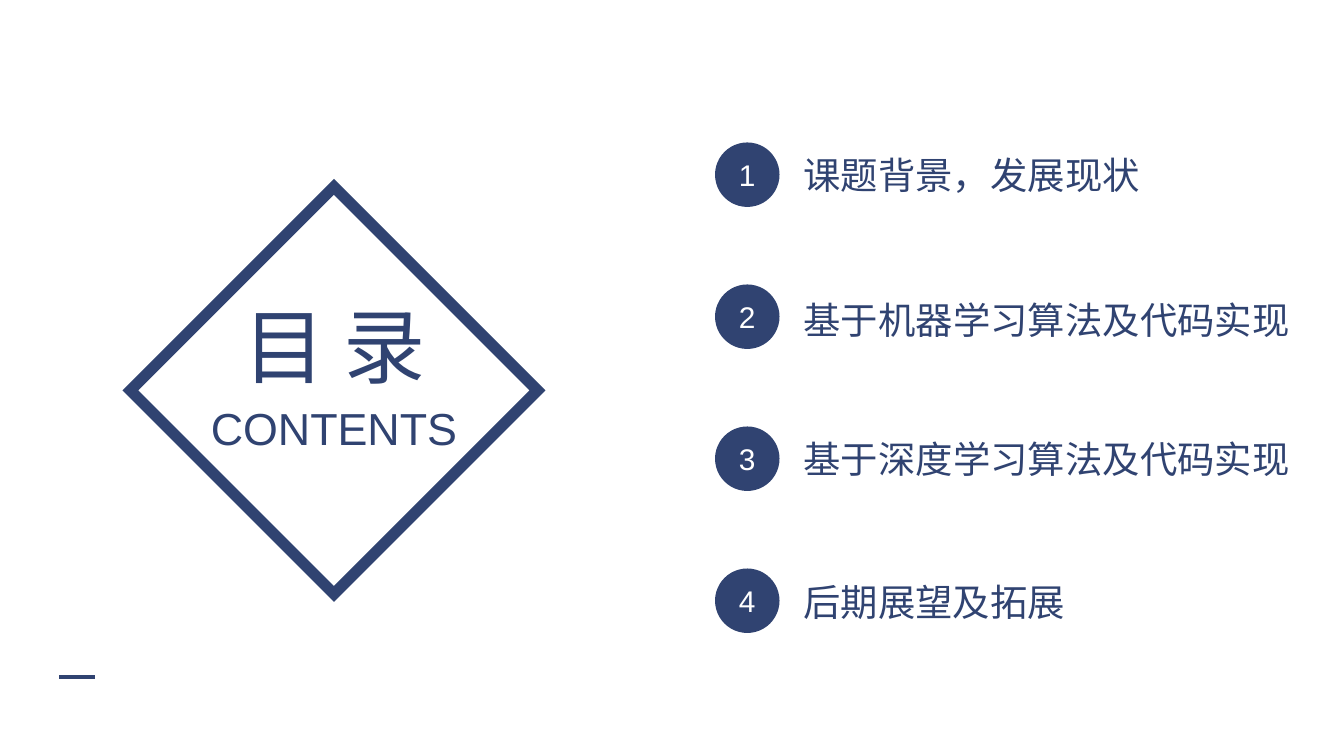
from dataclasses import dataclass

from lxml import etree
from pptx import Presentation
from pptx.dml.color import RGBColor
from pptx.enum.shapes import MSO_CONNECTOR, MSO_SHAPE
from pptx.enum.text import MSO_ANCHOR, MSO_AUTO_SIZE, PP_ALIGN
from pptx.oxml.ns import qn
from pptx.shapes.autoshape import Shape
from pptx.slide import Slide
from pptx.text.text import TextFrame
from pptx.util import Inches, Pt

STRAIGHT = MSO_CONNECTOR.STRAIGHT
DIAMOND, OVAL = MSO_SHAPE.DIAMOND, MSO_SHAPE.OVAL
LEFT, CENTER = PP_ALIGN.LEFT, PP_ALIGN.CENTER
MIDDLE = MSO_ANCHOR.MIDDLE
FIT_TEXT = MSO_AUTO_SIZE.SHAPE_TO_FIT_TEXT

COLORS = {"navy": "304371", "white": "FFFFFF"}
LATIN_FONT = "Arial"
CHINESE_FONT = "Noto Sans CJK SC"

BADGE_LEFT, BADGE_SIZE = 5.32, 0.48
FIRST_BADGE_TOP, LAST_BADGE_TOP = 1.06, 4.23
TOPIC_LEFT, TOPIC_HEIGHT = 5.88, 0.44


@dataclass
class Label:
    text: str
    left: float
    top: float
    width: float
    height: float
    size: int
    font: str
    align: PP_ALIGN = CENTER


@dataclass
class Topic:
    text: str
    top: float
    width: float


HEADINGS = [
    Label("目 录", 1.68, 2.15, 1.62, 0.84, 44, CHINESE_FONT),
    Label("CONTENTS", 1.46, 2.93, 2.05, 0.5, 24, LATIN_FONT),
]
TOPICS = [
    Topic("课题背景，发展现状", 1.08, 2.73),
    Topic("基于机器学习算法及代码实现", 2.16, 3.85),
    Topic("基于深度学习算法及代码实现", 3.2, 3.85),
    Topic("后期展望及拓展", 4.26, 2.17),
]
BADGE_PITCH = (LAST_BADGE_TOP - FIRST_BADGE_TOP) / (len(TOPICS) - 1)


def color(name: str) -> RGBColor:
    return RGBColor.from_string(COLORS[name])


def write_text(frame: TextFrame, text: str, size: int, font: str,
               color_name: str, align: PP_ALIGN) -> None:
    paragraph = frame.paragraphs[0]
    paragraph.text = text
    paragraph.alignment = align
    paragraph.font.size = Pt(size)
    paragraph.font.color.rgb = color(color_name)
    paragraph.font.name = font
    properties = paragraph._p.get_or_add_pPr().find(qn("a:defRPr"))
    etree.SubElement(properties, qn("a:ea"), typeface=font)


def add_label(slide: Slide, label: Label) -> None:
    box = slide.shapes.add_textbox(Inches(label.left), Inches(label.top),
                                   Inches(label.width), Inches(label.height))
    box.text_frame.word_wrap = False
    box.text_frame.auto_size = FIT_TEXT
    write_text(box.text_frame, label.text, label.size, label.font, "navy", label.align)


def add_square_shape(slide: Slide, kind: MSO_SHAPE, left: float, top: float,
                     size: float) -> Shape:
    shape = slide.shapes.add_shape(kind, Inches(left), Inches(top),
                                   Inches(size), Inches(size))
    shape.shadow.inherit = False
    return shape


def add_badge(slide: Slide, number: int) -> None:
    top = FIRST_BADGE_TOP + (number - 1) * BADGE_PITCH
    badge = add_square_shape(slide, OVAL, BADGE_LEFT, top, BADGE_SIZE)
    badge.fill.solid()
    badge.fill.fore_color.rgb = color("navy")
    badge.line.fill.background()
    badge.text_frame.vertical_anchor = MIDDLE
    write_text(badge.text_frame, str(number), 16, LATIN_FONT, "white", CENTER)


def add_diamond(slide: Slide) -> None:
    diamond = add_square_shape(slide, DIAMOND, 0.97, 1.39, 3.03)
    diamond.fill.background()
    diamond.line.color.rgb = color("navy")
    diamond.line.width = Pt(6)
    outline = diamond._element.spPr.find(qn("a:ln"))
    etree.SubElement(outline, qn("a:miter"), lim="800000")


def add_footer_dash(slide: Slide) -> None:
    dash = slide.shapes.add_connector(STRAIGHT, Inches(0.44), Inches(5.04),
                                      Inches(0.71), Inches(5.04))
    dash.line.color.rgb = color("navy")
    dash.line.width = Pt(2.25)
    etree.SubElement(dash._element.spPr, qn("a:effectLst"))


def main() -> None:
    presentation = Presentation()
    presentation.slide_width = Inches(10)
    presentation.slide_height = Inches(10 * 9 / 16)
    slide = presentation.slides.add_slide(presentation.slide_layouts[6])

    add_footer_dash(slide)
    for heading in HEADINGS:
        add_label(slide, heading)
    for number, topic in enumerate(TOPICS, start=1):
        add_label(slide, Label(topic.text, TOPIC_LEFT, topic.top, topic.width,
                               TOPIC_HEIGHT, 20, CHINESE_FONT, LEFT))
        add_badge(slide, number)
    add_diamond(slide)

    presentation.save("out.pptx")


if __name__ == "__main__":
    main()
